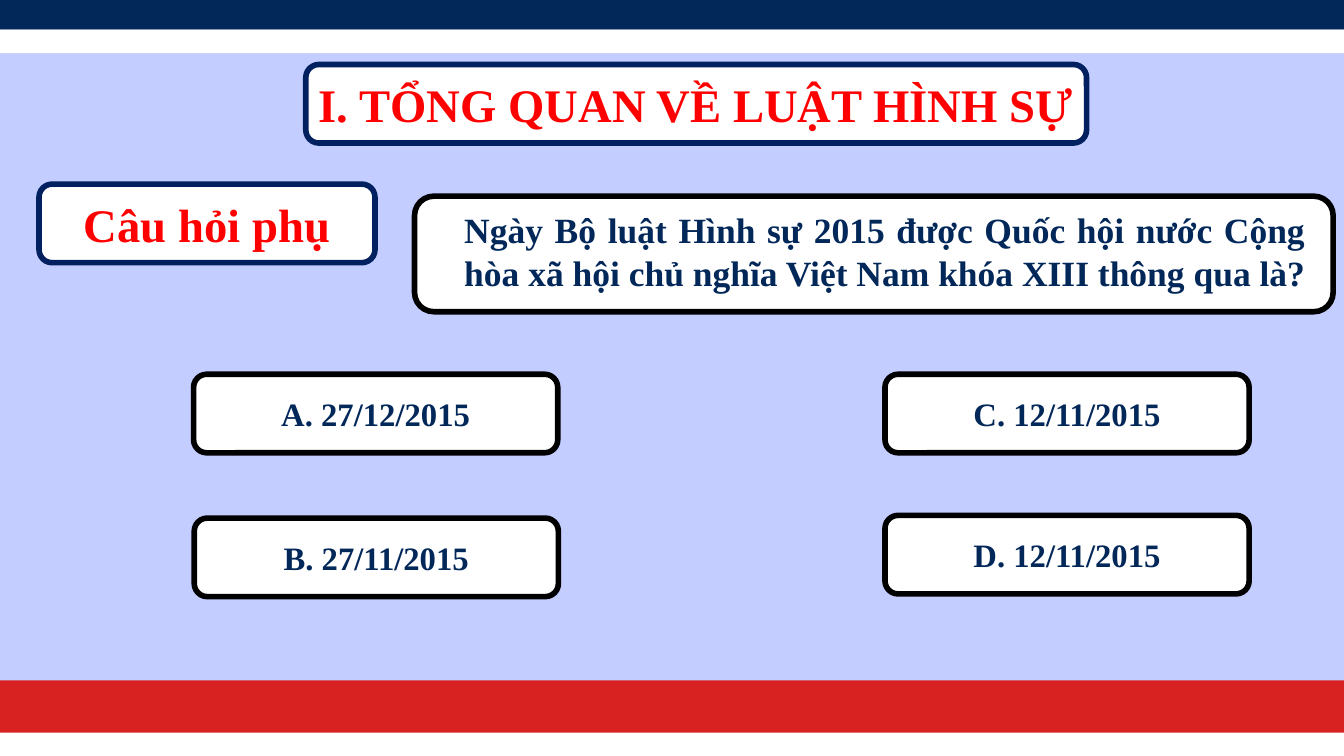
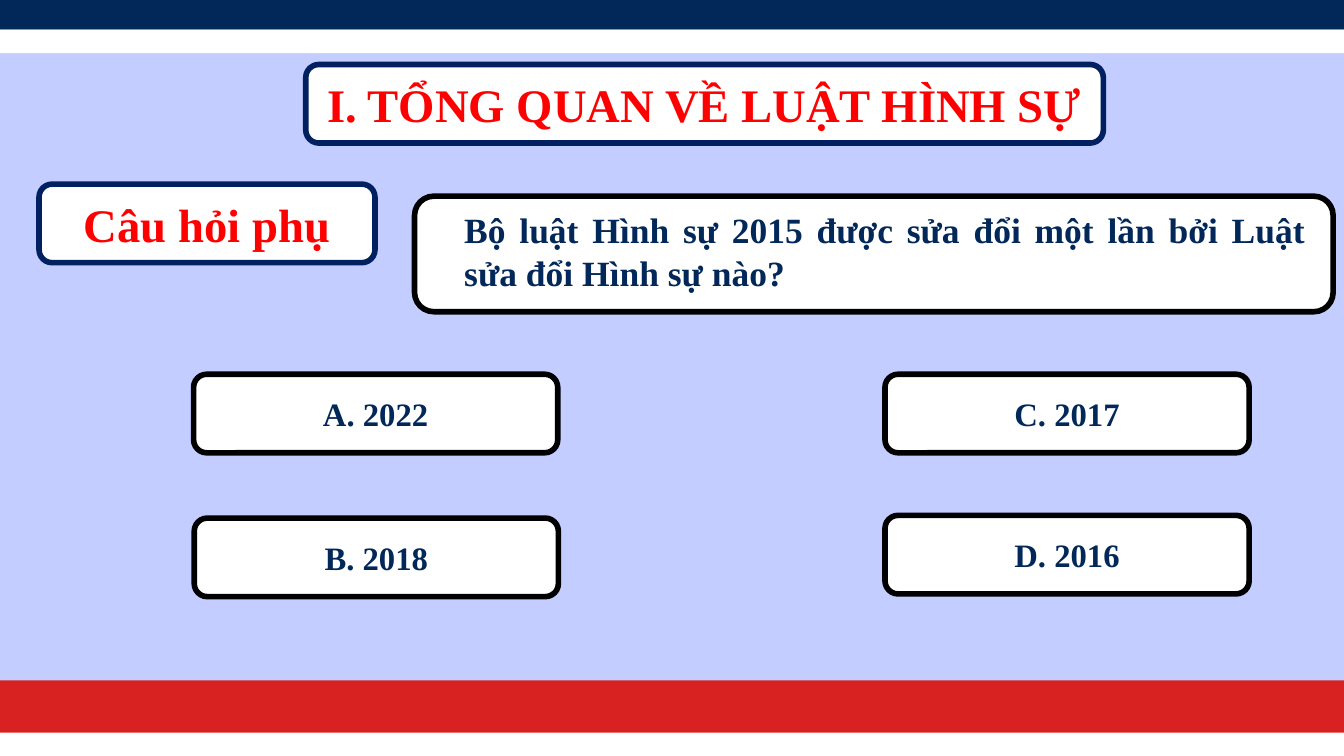
from pptx import Presentation
from pptx.dml.color import RGBColor
from pptx.enum.shapes import MSO_SHAPE
from pptx.enum.text import MSO_ANCHOR, PP_ALIGN
from pptx.util import Pt

RECT, ROUND = MSO_SHAPE.RECTANGLE, MSO_SHAPE.ROUNDED_RECTANGLE
MIDDLE = MSO_ANCHOR.MIDDLE
CENTER, JUSTIFY = PP_ALIGN.CENTER, PP_ALIGN.JUSTIFY

FONT = "Times New Roman"
COLORS = {
    "background": "C3CDFF",
    "red_band": "D82222",
    "navy": "022759",
    "frame": "002060",
    "heading": "FF0000",
    "white": "FFFFFF",
    "black": "000000",
}
TITLE = "I. TỔNG QUAN VỀ LUẬT HÌNH SỰ"
LABEL = "Câu hỏi phụ"

# left, top, width, height in points
BANDS = [
    ("red_band", (-48, 729, 1513.5, 102)),
    ("navy", (-30, -6.5, 1513.5, 38.2)),
    ("white", (-25, 31.7, 1490.5, 25.2)),
    ("white", (-25, 785, 1508.5, 48.5)),
]
BOX_HEIGHT = 84.2
ANSWER_WIDTH = 390.2
ANSWER_PLACES = {
    "A": (207.4, 401),
    "B": (208.1, 555.1),
    "D": (948.2, 552.2),
    "C": (948.2, 401),
}

# title width, question, answers
QUIZ = [
    (836.6,
     "Ngày Bộ luật Hình sự 2015 được Quốc hội nước Cộng hòa xã hội chủ nghĩa "
     "Việt Nam khóa XIII thông qua là?",
     {"A": "27/12/2015", "B": "27/11/2015", "C": "12/11/2015", "D": "12/11/2015"}),
    (854.6,
     "Bộ luật Hình sự 2015 được sửa đổi một lần bởi Luật sửa đổi Hình sự nào?",
     {"A": "2022", "B": "2018", "C": "2017", "D": "2016"}),
]


def rgb(name):
    return RGBColor.from_string(COLORS[name])


def add_filled(s, kind, place, fill):
    sp = s.shapes.add_shape(kind, *map(Pt, place))
    sp.shadow.inherit = False
    sp.fill.solid()
    sp.fill.fore_color.rgb = rgb(fill)
    sp.line.fill.background()
    return sp


def write(sp, text, size, color, align=CENTER):
    tf = sp.text_frame
    tf.word_wrap = True
    p = tf.paragraphs[0]
    p.alignment = align
    r = p.add_run()
    r.text = text
    r.font.name = FONT
    r.font.size = Pt(size)
    r.font.bold = True
    r.font.color.rgb = rgb(color)


def add_frame(s, place, line):
    sp = add_filled(s, ROUND, place, "white")
    sp.line.color.rgb = rgb(line)
    sp.line.width = Pt(6)
    sp.text_frame.vertical_anchor = MIDDLE
    return sp


def add_heading(s, left, top, width, text):
    sp = add_frame(s, (left, top, width, BOX_HEIGHT), "frame")
    write(sp, text, 50, "heading")


def add_question(s, text):
    add_frame(s, (444.2, 210.2, 984.2, 123.8), "black")
    sp = s.shapes.add_textbox(Pt(490.3), Pt(219.6), Pt(915.8), Pt(145.4))
    write(sp, text, 38, "navy", JUSTIFY)


def add_answers(s, answers):
    for letter, (left, top) in ANSWER_PLACES.items():
        sp = add_frame(s, (left, top, ANSWER_WIDTH, BOX_HEIGHT), "black")
        write(sp, f"{letter}. {answers[letter]}", 35, "navy")


def add_base(prs):
    s = prs.slides.add_slide(prs.slide_layouts[6])
    s.background.fill.solid()
    s.background.fill.fore_color.rgb = rgb("background")
    for color, place in BANDS:
        add_filled(s, RECT, place, color)
    return s


def main():
    prs = Presentation()
    prs.slide_width, prs.slide_height = Pt(1440), Pt(810)
    for title_width, question, answers in QUIZ:
        s = add_base(prs)
        # Headings
        add_heading(s, 327.6, 69.1, title_width, TITLE)
        add_heading(s, 41.8, 197.3, 360, LABEL)
        # Question and its four answers
        add_question(s, question)
        add_answers(s, answers)
    prs.save("out.pptx")


if __name__ == "__main__":
    main()
